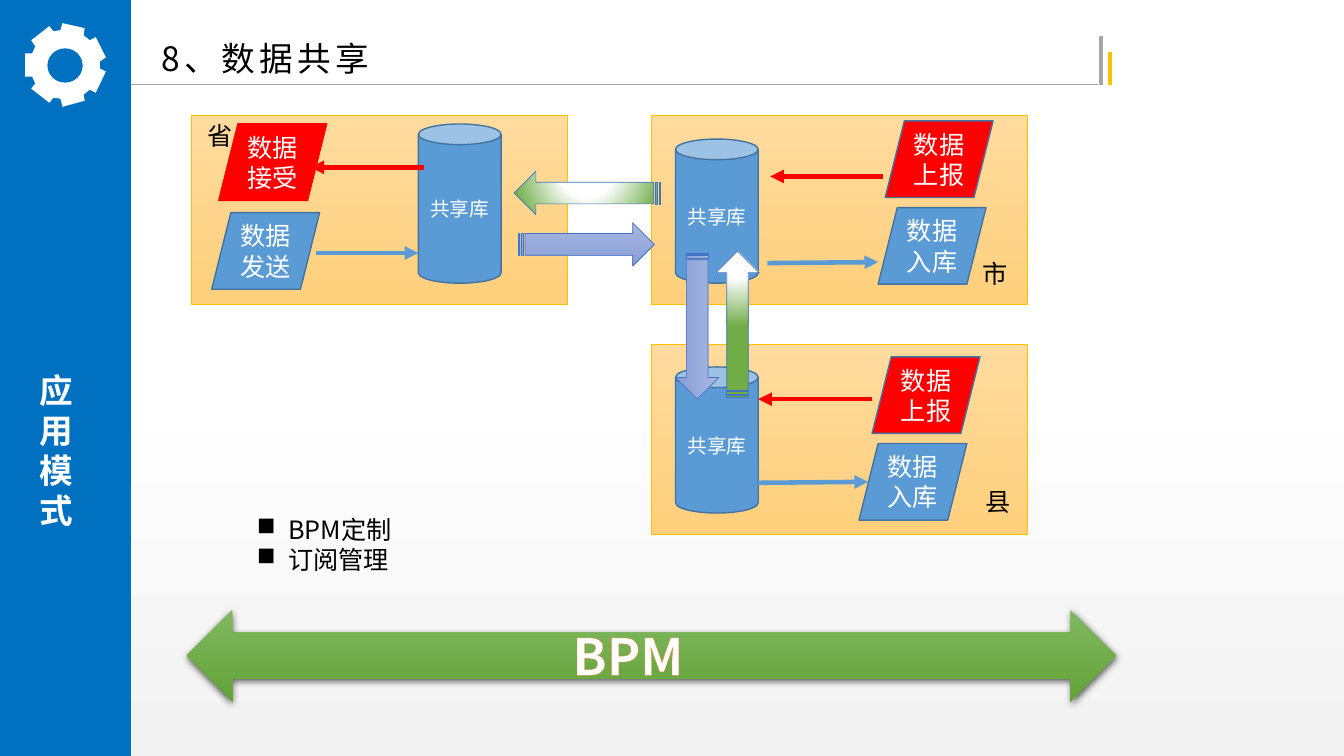
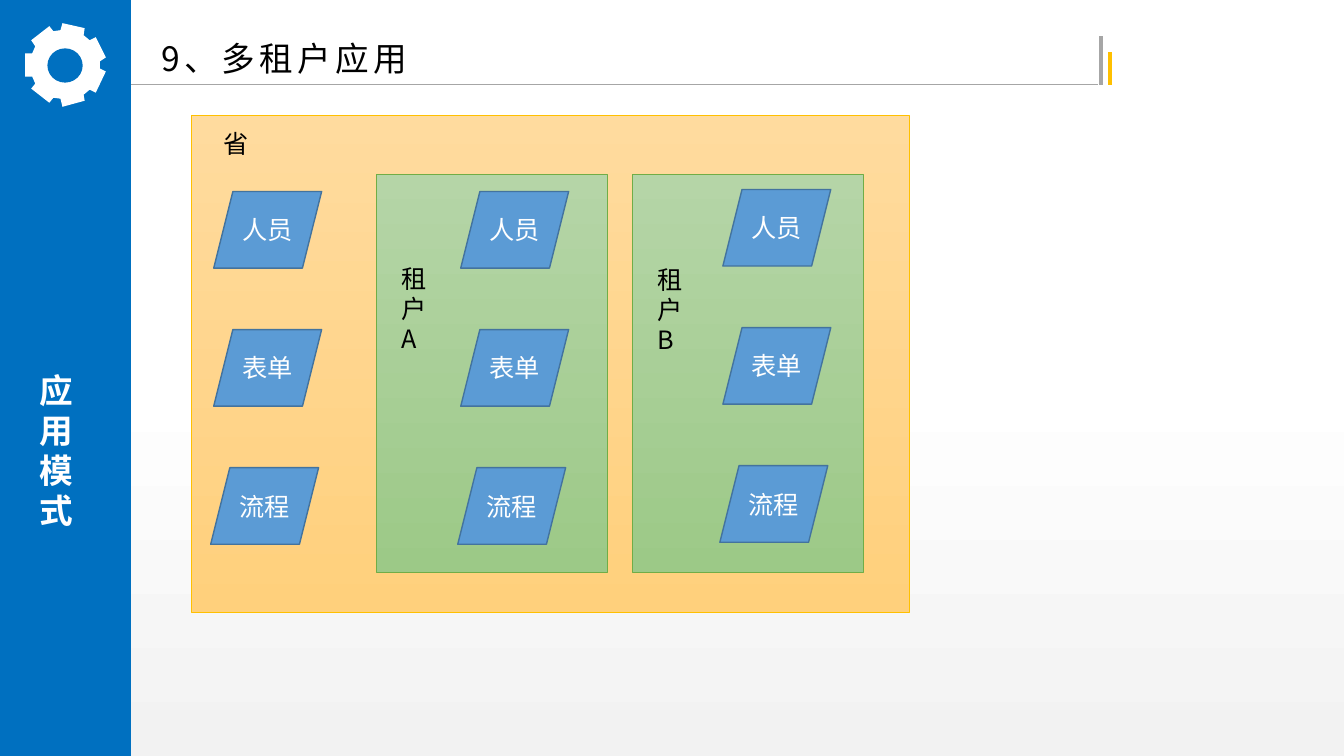
from lxml.etree import SubElement
from pptx import Presentation
from pptx.dml.color import RGBColor
from pptx.enum.shapes import MSO_CONNECTOR, MSO_SHAPE
from pptx.enum.text import MSO_ANCHOR, MSO_AUTO_SIZE, PP_ALIGN
from pptx.oxml import parse_xml
from pptx.oxml.ns import nsdecls, qn
from pptx.util import Inches, Pt

FONT = "Noto Sans CJK SC"
WHITE, BLACK, RED, BLUE, GOLD = "FFFFFF", "000000", "FF0000", "5B9BD5", "FFC000"
BAND, GREY, EDGE, GREEN, INDIGO = "0070C0", "A6A6A6", "43739E", "70AD47", "4472C4"
SAND, LEAF, LILAC = ("FFDB9E", "FFD07C"), ("B5D5A7", "9CC987"), ("A8B7DF", "889ED7")
GLOW, GRASS = (WHITE, GREEN), ("81B861", "62A336")
rgb = RGBColor.from_string


def write(frame, words, size, tone, bold=False, align=PP_ALIGN.LEFT):
    """Fill a text frame with one paragraph per line of words."""
    frame.word_wrap = True
    frame.text = words
    look = {"name": FONT, "size": Pt(size), "bold": bold}
    for para in frame.paragraphs:
        para.alignment = align
        for run in para.runs:
            for key, value in look.items():
                setattr(run.font, key, value)
            run.font.color.rgb = rgb(tone)
            SubElement(run.font._element, qn("a:ea"), typeface=FONT)


def draw(slide, kind, box, fill, edge=None, width=0.5, words="", size=18):
    """Add a preset shape; a pair of colours as fill gives a gradient downwards."""
    shape = slide.shapes.add_shape(kind, *map(Inches, box))
    shape.shadow.inherit = False
    if isinstance(fill, tuple):
        shape.fill.gradient()
        shape.fill.gradient_angle = 270
        for stop, tone in zip(shape.fill.gradient_stops, fill):
            stop.color.rgb = rgb(tone)
    else:
        shape.fill.solid()
        shape.fill.fore_color.rgb = rgb(fill)
    if edge:
        shape.line.color.rgb = rgb(edge)
        shape.line.width = Pt(width)
    else:
        shape.line.fill.background()
    if words:
        write(shape.text_frame, words, size, WHITE, align=PP_ALIGN.CENTER)
    return shape


deck = Presentation()
deck.slide_width, deck.slide_height = Inches(13.33), Inches(7.5)
layout = deck.slide_layouts[5]

# Shared background
back = deck.slide_master.background.fill
back.gradient()
back.gradient_angle = 270
for stop, place, tone in zip(back.gradient_stops, (0.5, 1), (WHITE, "F2F2F2")):
    stop.position = place
    stop.color.rgb = rgb(tone)

# Slides and titles
pages = []
for words in ("8、数据共享", "9、多租户应用"):
    page = deck.slides.add_slide(layout)
    title = page.shapes.title
    spot = {"left": 1.5, "top": 0.28, "width": 6.82, "height": 0.55}
    for key, value in spot.items():
        setattr(title, key, Inches(value))
    frame = title.text_frame
    write(frame, words, 24, BLACK)
    frame.auto_size = MSO_AUTO_SIZE.NONE
    frame.vertical_anchor = MSO_ANCHOR.BOTTOM
    frame.paragraphs[0].line_spacing = 0.9
    frame.paragraphs[0].runs[0].font._element.set("spc", "300")
    pages.append(page)
share, tenant = pages

# Side band with gear, kept on the layout
band = draw(share, MSO_SHAPE.RECTANGLE, (0, 0, 1.3, 7.5), BAND)
label = share.shapes.add_textbox(*map(Inches, (0.29, 1.43, 0.72, 6.07)))
write(label.text_frame, "应用模式", 24, WHITE, bold=True)
label.text_frame.vertical_anchor = MSO_ANCHOR.MIDDLE
label.element.txBody.bodyPr.set("vert", "wordArtVertRtl")
teeth = [
    (62, 23), (84, 28), (83, 35), (89, 40), (95, 37), (105, 57), (99, 61),
    (99, 68), (105, 71), (95, 92), (89, 89), (83, 94), (84, 100), (62, 106),
    (60, 98), (53, 97), (49, 102), (31, 88), (35, 83), (32, 76), (25, 76),
    (25, 53), (32, 53), (35, 46), (31, 40), (49, 26), (53, 31), (60, 30),
]
pen = share.shapes.build_freeform(*teeth[0], scale=Inches(0.01))
pen.add_line_segments(teeth[1:], close=True)
gear = pen.convert_to_shape()
gear.shadow.inherit = False
gear.fill.solid()
gear.fill.fore_color.rgb = rgb(WHITE)
gear.line.fill.background()
hub = draw(share, MSO_SHAPE.OVAL, (0.47, 0.48, 0.35, 0.34), BAND)
for part in (band, label, gear, hub):
    layout.shapes.element.append(part.element)

# Slide 1: areas, data cards and stores
for x, y in ((1.9, 1.14), (6.46, 1.14), (6.46, 3.42)):
    draw(share, MSO_SHAPE.RECTANGLE, (x, y, 3.73, 1.88), SAND, GOLD)
cards = [
    (2.17, 1.23, RED, RED, "数据接受"),
    (2.1, 2.11, BLUE, EDGE, "数据发送"),
    (8.78, 1.2, RED, EDGE, "数据上报"),
    (8.71, 2.06, BLUE, EDGE, "数据入库"),
    (8.65, 3.54, RED, EDGE, "数据上报"),
    (8.52, 4.4, BLUE, EDGE, "数据入库"),
]
for x, y, fill, edge, words in cards:
    draw(share, MSO_SHAPE.PARALLELOGRAM, (x, y, 1.07, 0.76), fill, edge, 1, words)
for x, y, high in ((4.15, 1.23, 1.58), (6.7, 1.38, 1.43), (6.7, 3.64, 1.45)):
    draw(share, MSO_SHAPE.CAN, (x, y, 0.82, high), BLUE, EDGE, 1, "共享库", 14)

# Block arrows between the stores
blocks = [
    (5.14, 2.21, 1.35, 0, LILAC),
    (6.19, 3.02, 1.45, 90, LILAC),
    (6.59, 3, 1.45, 270, GLOW),
    (5.1, 1.7, 1.45, 180, GLOW),
]
for x, y, wide, turn, fill in blocks:
    kind = MSO_SHAPE.STRIPED_RIGHT_ARROW
    block = draw(share, kind, (x, y, wide, 0.43), fill, INDIGO)
    block.rotation = turn
    if fill == GLOW:
        block.fill.gradient_stops[0].position = 0.35
        slope = block.element.spPr.find(qn("a:gradFill")).find(qn("a:lin"))
        slope.getparent().replace(slope, parse_xml(
            f'<a:path {nsdecls("a")} path="circle">'
            '<a:fillToRect l="50000" t="-80000" r="50000" b="180000"/></a:path>'))

# BPM arrow with a soft shadow
bus = draw(share, MSO_SHAPE.LEFT_RIGHT_ARROW, (1.85, 6.05, 9.22, 0.91), GRASS)
glow = bus.element.spPr.find(qn("a:effectLst"))
glow.append(parse_xml(
    f'<a:outerShdw {nsdecls("a")} blurRad="{Pt(4.5)}" dist="{Pt(1.5)}" dir="5400000" '
    'algn="ctr" rotWithShape="0"><a:srgbClr val="000000"><a:alpha val="63000"/>'
    '</a:srgbClr></a:outerShdw>'))

# Slide 2: province, tenants and their cards
draw(tenant, MSO_SHAPE.RECTANGLE, (1.9, 1.14, 7.12, 4.94), SAND, GOLD)
for x in (3.73, 6.27):
    draw(tenant, MSO_SHAPE.RECTANGLE, (x, 1.73, 2.29, 3.95), LEAF, GREEN)
for x, y in ((2.12, 1.9), (4.57, 1.9), (7.17, 1.88)):
    for row, (words, shift) in enumerate((("人员", 0), ("表单", 0), ("流程", -0.03))):
        box = (x + shift, y + row * 1.37, 1.07, 0.76)
        draw(tenant, MSO_SHAPE.PARALLELOGRAM, box, BLUE, EDGE, 1, words)

# Plain labels on both slides
notes = [
    (share, (1.96, 1.14, 2.14, 0.4), "省"),
    (share, (9.65, 2.51, 2.14, 0.4), "市"),
    (share, (9.68, 4.78, 2.14, 0.4), "县"),
    (share, (2.45, 5.05, 2.29, 0.71), "BPM定制\n订阅管理"),
    (share, (5.58, 6.15, 3.07, 0.71), "BPM"),
    (tenant, (2.12, 1.22, 2.14, 0.4), "省"),
    (tenant, (3.88, 2.56, 2.14, 1.01), "租\n户\nA"),
    (tenant, (6.42, 2.57, 2.14, 1.01), "租\n户\nB"),
]
for page, box, words in notes:
    note = page.shapes.add_textbox(*map(Inches, box))
    frame = note.text_frame
    if words == "BPM":
        write(frame, words, 36, WHITE, bold=True)
        frame.paragraphs[0].runs[0].font._element.insert(0, parse_xml(
            f'<a:ln {nsdecls("a")} w="{Pt(0.52)}"><a:solidFill>'
            '<a:srgbClr val="ED7D31"/></a:solidFill></a:ln>'))
        continue
    write(frame, words, 18, BLACK)
    if words.startswith("BPM"):
        for para in frame.paragraphs:
            props = para._p.get_or_add_pPr()
            props.set("marL", str(Inches(0.31)))
            props.set("indent", str(-Inches(0.31)))
            SubElement(props, qn("a:buChar"), char="■")

# Title rules go to the layout, data flows carry arrowheads
lines = [
    ((1.3, 0.84, 10.89, 0.84), GREY, 0.5, False),
    ((10.92, 0.84, 10.92, 0.36), GREY, 3, False),
    ((11.01, 0.84, 11.01, 0.52), GOLD, 3, False),
    ((4.21, 1.66, 3.08, 1.66), RED, 3.25, True),
    ((3.13, 2.51, 4.15, 2.51), BLUE, 3.25, True),
    ((8.76, 1.75, 7.64, 1.75), RED, 3.25, True),
    ((7.61, 2.61, 8.71, 2.6), BLUE, 3.25, True),
    ((8.65, 3.96, 7.52, 3.96), RED, 3.25, True),
    ((7.52, 4.79, 8.61, 4.78), BLUE, 3.25, True),
]
for ends, tone, width, flow in lines:
    line = share.shapes.add_connector(MSO_CONNECTOR.STRAIGHT, *map(Inches, ends))
    line.line.color.rgb = rgb(tone)
    line.line.width = Pt(width)
    SubElement(line.element.spPr, qn("a:effectLst"))
    if flow:
        SubElement(line.line._get_or_add_ln(), qn("a:tailEnd"), type="triangle")
    else:
        layout.shapes.element.append(line.element)

deck.save("out.pptx")
